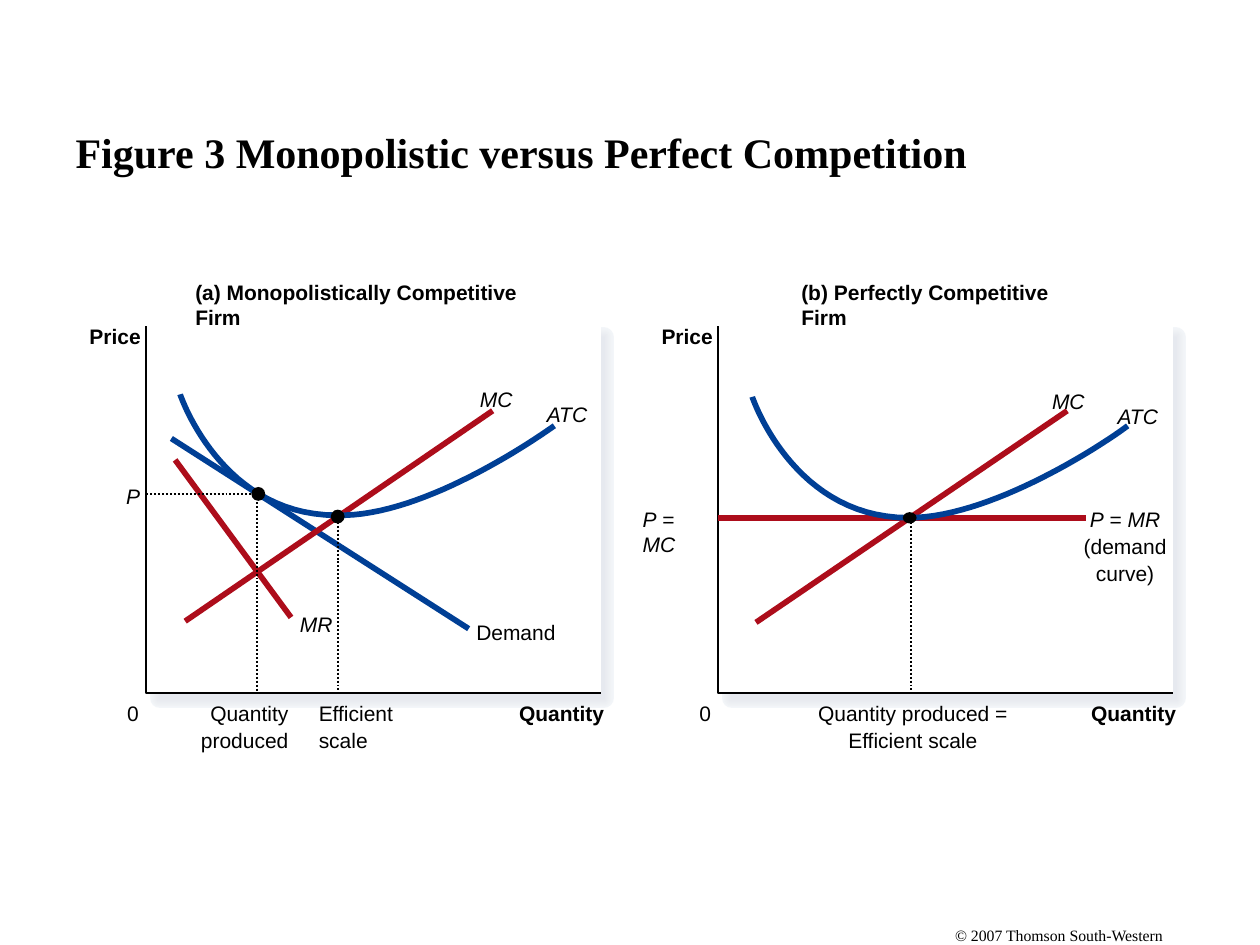
from pptx import Presentation
from pptx.dml.color import RGBColor
from pptx.enum.dml import MSO_LINE
from pptx.enum.shapes import MSO_CONNECTOR, MSO_SHAPE
from pptx.enum.text import MSO_ANCHOR, PP_ALIGN
from pptx.oxml.ns import qn
from pptx.util import Inches, Pt
from lxml.etree import SubElement

BLACK = RGBColor(0x00, 0x00, 0x00)
WHITE = RGBColor(0xFF, 0xFF, 0xFF)
BLUE = RGBColor(0x00, 0x3F, 0x95)
RED = RGBColor(0xAD, 0x0D, 0x1B)
# Soft panel edge: outline colour and width, from widest to narrowest
EDGE_LAYERS = [
    (RGBColor.from_string(color), width)
    for color, width in [
        ("F3F6F9", 12), ("F2F4F8", 10.89), ("F1F4F7", 9.75), ("F0F2F5", 8.75),
        ("EEF1F4", 7.63), ("EDEFF3", 6.5), ("EBEEF2", 5.5), ("EAECF1", 4.37),
        ("E9EBF0", 3.25), ("E7EAEF", 2.13), ("E6E9EF", 1.13),
    ]
]
CURVE_WIDTH, THIN_WIDTH = 3.25, 1.13
PANEL_LEFT, PANEL_TOP, PANEL_WIDTH, PANEL_HEIGHT = 1.16, 2.59, 3.61, 2.91
PANEL_STEP = 4.54
BASELINE = PANEL_TOP + PANEL_HEIGHT
LABEL_TOP = 5.56


def add_span(para, words, font_name="Arial", size=12, bold=False, italic=False):
    span = para.add_run()
    span.text = words
    span.font.name = font_name
    span.font.size = Pt(size)
    span.font.bold = bold
    span.font.italic = italic
    span.font.color.rgb = BLACK


def add_label(page, left, top, width, *lines, align=PP_ALIGN.LEFT, **style):
    """Each line is a string, or a list of (words, italic) pairs."""
    box = page.shapes.add_textbox(
        Inches(left), Inches(top), Inches(width), Inches(0.2 * len(lines)))
    frame = box.text_frame
    frame.word_wrap = False
    frame.margin_left = frame.margin_right = 0
    frame.margin_top = frame.margin_bottom = 0
    for index, line in enumerate(lines):
        para = frame.paragraphs[0] if index == 0 else frame.add_paragraph()
        para.alignment = align
        if index:
            para.space_before = Pt(1)
        if isinstance(line, str):
            add_span(para, line, **style)
        else:
            for words, italic in line:
                add_span(para, words, italic=italic)


def style_line(line, color, width, dotted=False):
    line.color.rgb = color
    line.width = Pt(width)
    if dotted:
        line.dash_style = MSO_LINE.ROUND_DOT


def add_shape(page, kind, left, top, width, height, fill, line_width=None):
    shape = page.shapes.add_shape(
        kind, Inches(left), Inches(top), Inches(width), Inches(height))
    shape.shadow.inherit = False
    shape.fill.solid()
    shape.fill.fore_color.rgb = fill
    if line_width:
        style_line(shape.line, fill, line_width)
    else:
        shape.line.fill.background()


def add_line(page, start, end, color, width=CURVE_WIDTH, dotted=False):
    line = page.shapes.add_connector(
        MSO_CONNECTOR.STRAIGHT, *(Inches(value) for value in (*start, *end)))
    SubElement(line._element.spPr, qn("a:effectLst"))
    style_line(line.line, color, width, dotted)


def add_path(page, points, color, width, dotted=False):
    points = [(Inches(x), Inches(y)) for x, y in points]
    builder = page.shapes.build_freeform(*points[0])
    builder.add_line_segments(points[1:], close=False)
    shape = builder.convert_to_shape()
    shape.shadow.inherit = False
    shape.fill.background()
    style_line(shape.line, color, width, dotted)


def bezier(start, control_1, control_2, end, steps=30):
    """Points after the start of a cubic curve."""
    points = []
    for step in range(1, steps + 1):
        t = step / steps
        weights = ((1 - t) ** 3, 3 * t * (1 - t) ** 2, 3 * t ** 2 * (1 - t), t ** 3)
        points.append(tuple(
            sum(weight * value for weight, value in zip(weights, values))
            for values in zip(start, control_1, control_2, end)))
    return points


def add_cost_curve(page, start, first, second):
    points = [start, *bezier(start, *first), *bezier(first[-1], *second)]
    add_path(page, points, BLUE, CURVE_WIDTH)


def add_dot(page, x, y, height=0.11):
    add_shape(page, MSO_SHAPE.OVAL, x - 0.055, y - height / 2, 0.11, height, BLACK)


def add_panel(page, shift, heading, heading_left, heading_width):
    left = PANEL_LEFT + shift
    for color, width in EDGE_LAYERS:
        add_shape(page, MSO_SHAPE.RECTANGLE, left + 0.11, 2.68, 3.52, 2.86, color, width)
    add_shape(page, MSO_SHAPE.RECTANGLE, left, PANEL_TOP, PANEL_WIDTH, PANEL_HEIGHT, WHITE)
    add_path(page, [(left, PANEL_TOP), (left, BASELINE), (left + PANEL_WIDTH, BASELINE)],
             BLACK, THIN_WIDTH)
    add_label(page, left + 2.96, LABEL_TOP, 0.68, "Quantity", bold=True)
    add_label(page, left - 0.15, LABEL_TOP, 0.09, "0")
    add_label(page, left - 0.45, 2.57, 0.41, "Price", bold=True)
    add_label(page, heading_left, 2.22, heading_width, heading, bold=True)


def add_monopolistic_firm(page):
    add_panel(page, 0, "(a) Monopolistically Competitive Firm", 1.55, 2.96)
    # Curves and their names
    add_line(page, (1.36, 3.48), (3.72, 4.99), BLUE)
    add_label(page, 3.78, 4.92, 0.63, "Demand")
    add_line(page, (3.91, 3.26), (1.47, 4.93), RED)
    add_label(page, 3.81, 3.07, 0.26, "MC", italic=True)
    add_cost_curve(page, (1.43, 3.13),
                   [(1.43, 3.13), (1.75, 4.09), (2.67, 4.09)],
                   [(3.34, 4.11), (4.23, 3.5), (4.4, 3.38)])
    add_label(page, 4.34, 3.19, 0.33, "ATC", italic=True)
    add_line(page, (1.39, 3.65), (2.31, 4.9), RED)
    add_label(page, 2.38, 4.85, 0.26, "MR", italic=True)
    # Efficient scale
    add_line(page, (2.68, 4.11), (2.68, BASELINE), BLACK, THIN_WIDTH, dotted=True)
    add_dot(page, 2.68, 4.1)
    add_label(page, 2.53, LABEL_TOP, 0.59, "Efficient", "scale")
    # Price and quantity produced
    add_label(page, 1, 3.84, 0.11, "P", italic=True)
    add_path(page, [(PANEL_LEFT, 3.92), (2.04, 3.92), (2.04, BASELINE)],
             BLACK, THIN_WIDTH, dotted=True)
    add_dot(page, 2.05, 3.92)
    add_label(page, 1.59, LABEL_TOP, 0.7, "Quantity", "produced", align=PP_ALIGN.RIGHT)


def add_competitive_firm(page):
    add_panel(page, PANEL_STEP, "(b) Perfectly Competitive Firm", 6.36, 2.37)
    # Curves and their names
    add_line(page, (5.7, 4.11), (8.62, 4.11), RED)
    add_label(page, 5.1, 4.02, 0.55, [("P", True), (" = ", False), ("MC", True)])
    add_label(page, 8.6, 4.02, 0.66, [("P", True), (" = ", False), ("MR", True)],
              "(demand", "curve)", align=PP_ALIGN.CENTER)
    add_line(page, (8.47, 3.26), (6, 4.94), RED)
    add_label(page, 8.35, 3.08, 0.26, "MC", italic=True)
    add_cost_curve(page, (5.97, 3.15),
                   [(5.97, 3.15), (6.29, 4.11), (7.21, 4.11)],
                   [(7.88, 4.11), (8.78, 3.51), (8.95, 3.38)])
    add_label(page, 8.87, 3.2, 0.33, "ATC", italic=True)
    # Quantity produced at the efficient scale
    add_line(page, (7.23, 4.11), (7.23, BASELINE), BLACK, THIN_WIDTH, dotted=True)
    add_dot(page, 7.22, 4.11, height=0.09)
    add_label(page, 6.49, LABEL_TOP, 1.51, "Quantity produced =", "Efficient scale",
              align=PP_ALIGN.CENTER)


def add_title(page, words):
    title = page.shapes.title
    title.left, title.top = Inches(0.5), Inches(0.58)
    title.width, title.height = Inches(9), Inches(1.25)
    title.text_frame.vertical_anchor = MSO_ANCHOR.MIDDLE
    para = title.text_frame.paragraphs[0]
    para.alignment = PP_ALIGN.LEFT
    add_span(para, words, "Times New Roman", 24, bold=True)


def main():
    deck = Presentation()
    deck.slide_width, deck.slide_height = Inches(10), Inches(7.5)
    page = deck.slides.add_slide(deck.slide_layouts[5])
    add_label(page, 7.58, 7.35, 1.66, "© 2007 Thomson South-Western",
              font_name="Times New Roman", size=9)
    add_title(page, "Figure 3 Monopolistic versus Perfect Competition")
    add_monopolistic_firm(page)
    add_competitive_firm(page)
    deck.save("out.pptx")


if __name__ == "__main__":
    main()
